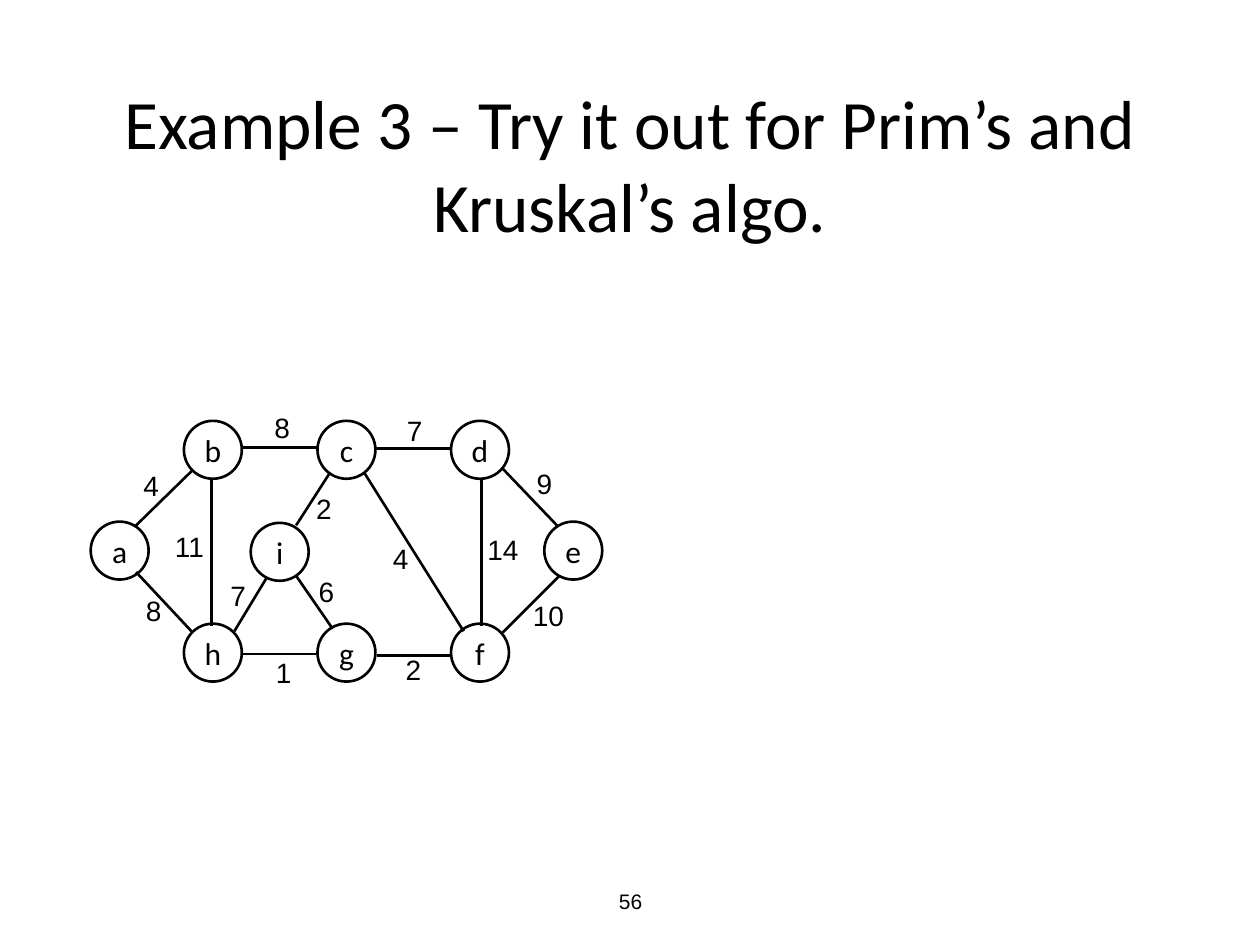
from lxml import etree
from pptx import Presentation
from pptx import util as u
from pptx.dml.color import RGBColor
from pptx.enum import shapes, text

PX = 9144  # EMU per px, 100 px to the inch
INK = "000000"
NODE = 46  # circle diameter


def color(value):
    return RGBColor.from_string(value)


def write(box, words, font, size, **frame_format):
    frame = box.text_frame
    align = frame_format.pop("align", text.PP_ALIGN.CENTER)
    for name, value in frame_format.items():
        setattr(frame, name, value)
    para = frame.paragraphs[0]
    para.alignment = align
    span = para.add_run()
    span.text = words
    for name, value in {"name": font, "size": u.Pt(size)}.items():
        setattr(span.font, name, value)
    span.font.color.rgb = color(INK)


deck = Presentation()
deck.slide_width, deck.slide_height = 1000 * PX, 750 * PX
page = deck.slides.add_slide(deck.slide_layouts[6])
middle = text.MSO_ANCHOR.MIDDLE

# Page number and title
for words, font, size, place in [
    ("56", "Arial", 12, (342, 695, 317, 40)),
    ("Example 3 – Try it out for Prim’s and Kruskal’s algo.", "Calibri", 39.6,
     (75, 67, 850, 125)),
]:
    box = page.shapes.add_textbox(*(n * PX for n in place))
    write(box, words, font, size, word_wrap=True, vertical_anchor=middle)

# Graph nodes: left and top of each circle
nodes = {
    "a": (72, 414), "b": (146, 334), "c": (252, 334),
    "d": (358, 334), "e": (432, 414), "h": (146, 495),
    "g": (252, 495), "f": (358, 495), "i": (199, 415),
}
for name, (left, top) in nodes.items():
    circle = page.shapes.add_shape(
        shapes.MSO_SHAPE.OVAL, left * PX, top * PX, NODE * PX, NODE * PX)
    circle.shadow.inherit = False
    circle.fill.background()
    circle.line.color.rgb = color(INK)
    circle.line.width = u.Pt(1.5)
    write(circle, name, "Calibri", 18, word_wrap=False, vertical_anchor=middle)

# Graph edges: weight, line ends, left and top of the weight label
edges = [
    ("11", (168, 380, 168, 497), (129, 415)),  # b-h
    ("14", (382, 380, 382, 497), (377, 418)),  # d-f
    ("8", (192, 355, 252, 355), (208, 321)),   # b-c
    ("7", (298, 356, 358, 356), (313, 323)),   # c-d
    ("1", (192, 519, 252, 519), (209, 515)),   # h-g
    ("2", (299, 520, 359, 520), (312, 513)),   # g-f
    ("4", (107, 418, 153, 373), (104, 367)),   # a-b
    ("10", (399, 502, 444, 457), (413, 470)),  # f-e
    ("9", (399, 372, 443, 418), (416, 365)),   # d-e
    ("8", (108, 454, 152, 501), (106, 466)),   # a-h
    ("4", (289, 375, 368, 501), (302, 425)),   # c-f
    ("6", (235, 457, 264, 499), (243, 451)),   # i-g
    ("7", (186, 501, 212, 458), (173, 454)),   # h-i
    ("2", (235, 417, 262, 375), (241, 385)),   # i-c
]
for weight, ends, (left, top) in edges:
    edge = page.shapes.add_connector(
        shapes.MSO_CONNECTOR.STRAIGHT, *(n * PX for n in ends))
    edge.line.color.rgb = color(INK)
    edge.line.width = u.Pt(1.5)
    etree.SubElement(
        edge._element.spPr,
        "{http://schemas.openxmlformats.org/drawingml/2006/main}effectLst")

    width = 32 if len(weight) == 1 else 45
    label = page.shapes.add_textbox(left * PX, top * PX, width * PX, 37 * PX)
    write(label, weight, "Arial", 16, align=text.PP_ALIGN.LEFT,
          word_wrap=False, auto_size=text.MSO_AUTO_SIZE.SHAPE_TO_FIT_TEXT)

deck.save("out.pptx")
